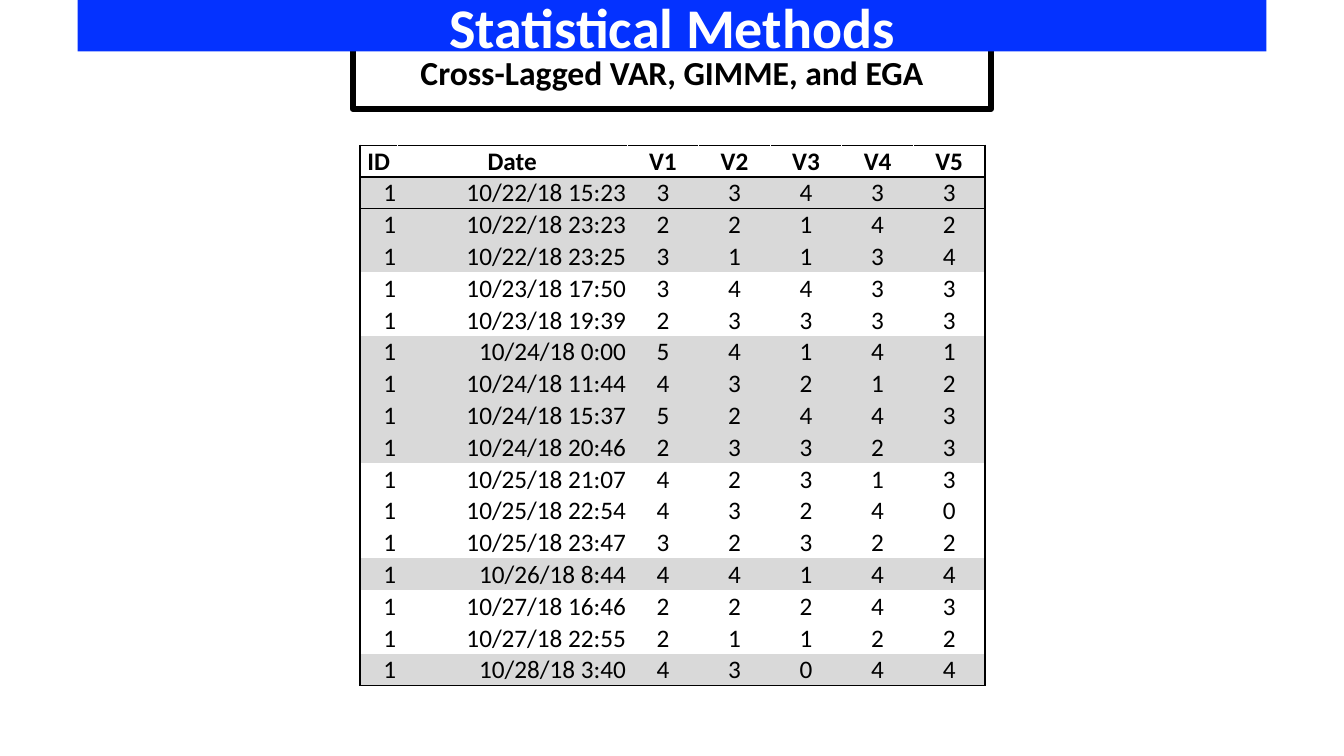
"""Builds the Statistical Methods slide with its table of repeated measures."""
from lxml import etree
from pptx import Presentation
from pptx.dml.color import RGBColor
from pptx.enum.shapes import MSO_SHAPE
from pptx.enum.text import MSO_ANCHOR, MSO_AUTO_SIZE, PP_ALIGN
from pptx.oxml.ns import qn
from pptx.util import Inches, Pt

FONT = "Calibri"
BLACK = RGBColor(0x00, 0x00, 0x00)
WHITE = RGBColor(0xFF, 0xFF, 0xFF)
BLUE = RGBColor(0x04, 0x32, 0xFF)
GREY = RGBColor(0xD9, 0xD9, 0xD9)
NO_GRID_STYLE = "{2D5ABB26-0587-4C30-8999-92F81FD0307C}"

HEADINGS = ["ID", "Date", "V1", "V2", "V3", "V4", "V5"]
COLUMN_WIDTHS = [0.37, 2.28] + [0.71] * 5
ROW_HEIGHT = 0.31
MEASURES = [
    ("10/22/18 15:23", "33433"),
    ("10/22/18 23:23", "22142"),
    ("10/22/18 23:25", "31134"),
    ("10/23/18 17:50", "34433"),
    ("10/23/18 19:39", "23333"),
    ("10/24/18 0:00", "54141"),
    ("10/24/18 11:44", "43212"),
    ("10/24/18 15:37", "52443"),
    ("10/24/18 20:46", "23323"),
    ("10/25/18 21:07", "42313"),
    ("10/25/18 22:54", "43240"),
    ("10/25/18 23:47", "32322"),
    ("10/26/18 8:44", "44144"),
    ("10/27/18 16:46", "22243"),
    ("10/27/18 22:55", "21122"),
    ("10/28/18 3:40", "43044"),
]


class MethodsSlide:
    """Holds the style and the current slide."""

    def __init__(self, prs):
        self.slide = prs.slides.add_slide(prs.slide_layouts[5])

    def add_text(self, frame, text, size, color=BLACK, bold=True, align=PP_ALIGN.CENTER):
        """Adds one formatted run to the first paragraph."""
        paragraph = frame.paragraphs[0]
        paragraph.alignment = align
        run = paragraph.add_run()
        run.text = text
        run.font.name = FONT
        run.font.size = Pt(size)
        run.font.bold = bold
        run.font.color.rgb = color

    def banner(self, text, left, top, width, height):
        """Turns the title placeholder into a filled banner."""
        title = self.slide.shapes.title
        title.left, title.top = Inches(left), Inches(top)
        title.width, title.height = Inches(width), Inches(height)
        title.fill.solid()
        title.fill.fore_color.rgb = BLUE
        title.text_frame.auto_size = MSO_AUTO_SIZE.NONE
        title.text_frame.vertical_anchor = MSO_ANCHOR.MIDDLE
        self.add_text(title.text_frame, text, 40, WHITE)

    def framed_box(self, text, left, top, width, height):
        """Adds an outlined box that lies behind the banner."""
        box = self.slide.shapes.add_shape(
            MSO_SHAPE.RECTANGLE, Inches(left), Inches(top), Inches(width), Inches(height))
        box.shadow.inherit = False
        box.fill.solid()
        box.fill.fore_color.rgb = WHITE
        box.line.color.rgb = BLACK
        box.line.width = Pt(4.5)
        box.text_frame.word_wrap = True
        box.text_frame.vertical_anchor = MSO_ANCHOR.MIDDLE
        self.add_text(box.text_frame, text, 24)
        self.slide.shapes.title.element.addprevious(box.element)

    def borders(self, cell, sides):
        """Draws the given cell sides, in the order L, R, T, B."""
        properties = cell._tc.get_or_add_tcPr()
        for side, color in sides.items():
            if color is None:
                continue
            line = etree.SubElement(properties, qn(f"a:ln{side}"), w=str(Pt(1)))
            fill = etree.SubElement(line, qn("a:solidFill"))
            etree.SubElement(fill, qn("a:srgbClr"), val=str(color))

    def cell(self, cell, text, bold, align, sides, shaded):
        """Formats and fills one table cell."""
        cell.margin_left = cell.margin_right = cell.margin_top = Inches(0.01)
        cell.margin_bottom = Inches(0)
        cell.vertical_anchor = MSO_ANCHOR.BOTTOM
        self.borders(cell, sides)
        if shaded:
            cell.fill.solid()
            cell.fill.fore_color.rgb = GREY
        else:
            cell.fill.background()
        self.add_text(cell.text_frame, text, 18, bold=bold, align=align)

    def measures_table(self, left, top):
        """Adds the table, shading the rows of even days."""
        rows = [HEADINGS] + [["1", date, *values] for date, values in MEASURES]
        last_row, last_column = len(rows) - 1, len(HEADINGS) - 1
        frame = self.slide.shapes.add_table(
            len(rows), len(HEADINGS), Inches(left), Inches(top),
            Inches(sum(COLUMN_WIDTHS)), Inches(ROW_HEIGHT * len(rows)))
        table = frame.table
        table.first_row = table.horz_banding = False
        next(frame.element.iter(qn("a:tableStyleId"))).text = NO_GRID_STYLE
        for column, width in zip(table.columns, COLUMN_WIDTHS):
            column.width = Inches(width)
        for r, values in enumerate(rows):
            table.rows[r].height = Inches(ROW_HEIGHT)
            header = r == 0
            shaded = not header and int(values[1].split("/")[1]) % 2 == 0
            inner = WHITE if header else None
            for c, text in enumerate(values):
                sides = {
                    "L": BLACK if c == 0 else inner,
                    "R": BLACK if c == last_column else inner,
                    "T": BLACK if r <= 1 else None,
                    "B": BLACK if r in (0, last_row) else None,
                }
                align = PP_ALIGN.CENTER if header or c > 1 else PP_ALIGN.RIGHT
                self.cell(table.cell(r, c), text, header, align, sides, shaded)


def main():
    """Builds and saves the slide."""
    prs = Presentation()
    prs.slide_width, prs.slide_height = Inches(13.33), Inches(7.5)
    methods = MethodsSlide(prs)
    methods.banner("Statistical Methods", 0.77, 0, 11.79, 0.51)
    methods.framed_box("Cross-Lagged VAR, GIMME, and EGA", 3.5, 0.34, 6.33, 0.74)
    methods.measures_table(3.57, 1.44)
    prs.save("out.pptx")


if __name__ == "__main__":
    main()
